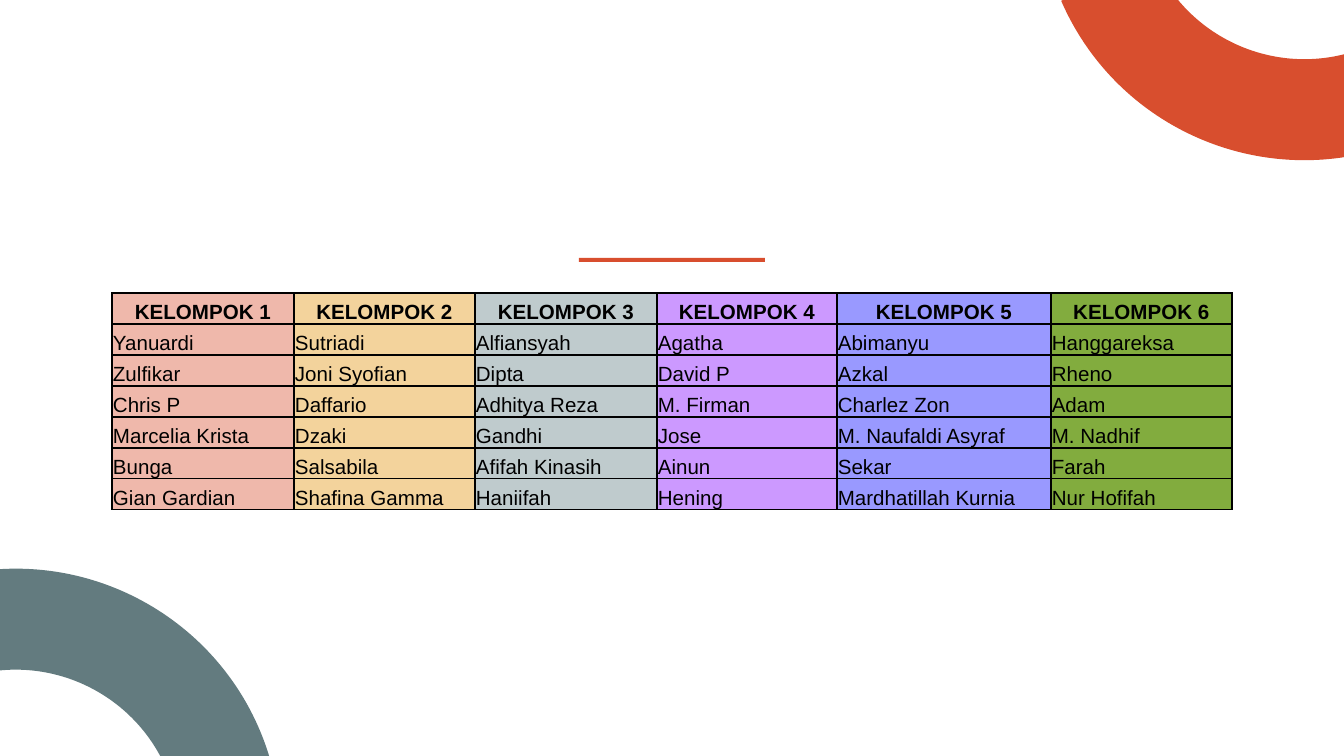
"""Build the slide that lists the members of six groups in a coloured table."""
from dataclasses import dataclass

from lxml import etree
from pptx import Presentation
from pptx import util as u
from pptx.dml.color import RGBColor
from pptx.enum import shapes, text
from pptx.oxml import ns

EMU_PER_PX = 9144000 / 1344
QUARTER_ARC = 0.5523


@dataclass(frozen=True)
class Theme:
    orange: str = "D84E2E"
    teal: str = "637B7F"
    ink: str = "000000"
    font: str = "Arial"
    size: int = 11
    border: int = 1


@dataclass(frozen=True)
class Ring:
    left: int
    top: int
    rotation: float
    color: str
    outer: int = 265
    inner: int = 164


@dataclass(frozen=True)
class Group:
    width: int
    color: str
    members: tuple[str, ...]


THEME = Theme()
RINGS = (
    Ring(1103, -63, 156.5, THEME.orange),
    Ring(-23, 539, 345, THEME.teal),
)
GROUPS = (
    Group(182, "EFB8AB", ("Yanuardi", "Zulfikar", "Chris P", "Marcelia Krista",
                          "Bunga", "Gian Gardian")),
    Group(181, "F3D39C", ("Sutriadi", "Joni Syofian", "Daffario", "Dzaki",
                          "Salsabila", "Shafina Gamma")),
    Group(182, "BFCBCD", ("Alfiansyah", "Dipta", "Adhitya Reza", "Gandhi",
                          "Afifah Kinasih", "Haniifah")),
    Group(180, "CC99FF", ("Agatha", "David P", "M. Firman", "Jose",
                          "Ainun", "Hening")),
    Group(214, "9999FF", ("Abimanyu", "Azkal", "Charlez Zon", "M. Naufaldi Asyraf",
                          "Sekar", "Mardhatillah Kurnia")),
    Group(181, "82AC3E", ("Hanggareksa", "Rheno", "Adam", "M. Nadhif",
                          "Farah", "Nur Hofifah")),
)
ROW_HEIGHT = 31


def px(n: float) -> u.Emu:
    return u.Emu(round(n * EMU_PER_PX))


def rgb(color: str) -> RGBColor:
    return RGBColor.from_string(color)


def paint(sp, color: str) -> None:
    sp.shadow.inherit = False
    sp.fill.solid()
    sp.fill.fore_color.rgb = rgb(color)
    sp.line.fill.background()


def arc(ring: Ring, radius: int) -> list[tuple[int, int]]:
    bottom = ring.top + ring.outer
    handle = radius * QUARTER_ARC
    offsets = ((0, radius), (handle, radius), (radius, handle), (radius, 0))
    return [(px(ring.left + x), px(bottom - y)) for x, y in offsets]


def bend(lines: list) -> None:
    curve = etree.Element(ns.qn("a:cubicBezTo"))
    lines[0].addprevious(curve)
    for line in lines:
        curve.append(line[0])
        line.getparent().remove(line)


def draw_ring(s, ring: Ring) -> None:
    points = arc(ring, ring.outer) + arc(ring, ring.inner)[::-1]
    builder = s.shapes.build_freeform(*points[0], scale=1.0)
    builder.add_line_segments(points[1:], close=True)
    sp = builder.convert_to_shape()
    lines = list(sp._element.iter(ns.qn("a:lnTo")))
    bend(lines[:3])
    bend(lines[4:7])
    sp.rotation = ring.rotation
    paint(sp, ring.color)


def draw_rule(s, left: int, top: int, width: int, height: int) -> None:
    sp = s.shapes.add_shape(shapes.MSO_SHAPE.RECTANGLE, px(left), px(top), px(width), px(height))
    paint(sp, THEME.orange)


def set_borders(cell) -> None:
    props = cell._tc.get_or_add_tcPr()
    for side in ("a:lnL", "a:lnR", "a:lnT", "a:lnB"):
        line = etree.SubElement(props, ns.qn(side), w=str(u.Pt(THEME.border)))
        fill = etree.SubElement(line, ns.qn("a:solidFill"))
        etree.SubElement(fill, ns.qn("a:srgbClr"), val=THEME.ink)


def fill_cell(cell, words: str, color: str, header: bool) -> None:
    set_borders(cell)
    cell.fill.solid()
    cell.fill.fore_color.rgb = rgb(color)
    cell.vertical_anchor = text.MSO_ANCHOR.BOTTOM
    cell.margin_left = cell.margin_right = cell.margin_top = px(1)
    cell.margin_bottom = 0
    p = cell.text_frame.paragraphs[0]
    p.text = words
    p.alignment = text.PP_ALIGN.CENTER if header else text.PP_ALIGN.LEFT
    p.font.name, p.font.size, p.font.bold = THEME.font, u.Pt(THEME.size), header
    p.font.color.rgb = rgb(THEME.ink)


def draw_groups(s, left: int, top: int, groups: tuple[Group, ...]) -> None:
    rows = 1 + len(groups[0].members)
    width = sum(group.width for group in groups)
    table = s.shapes.add_table(rows, len(groups), px(left), px(top),
                               px(width), px(rows * ROW_HEIGHT)).table
    table.first_row = table.horz_banding = False
    for row in table.rows:
        row.height = px(ROW_HEIGHT)
    for col, group in enumerate(groups):
        table.columns[col].width = px(group.width)
        for row, words in enumerate((f"KELOMPOK {col + 1}", *group.members)):
            fill_cell(table.cell(row, col), words, group.color, row == 0)


def main() -> None:
    prs = Presentation()
    prs.slide_width, prs.slide_height = px(1344), px(756)
    s = prs.slides.add_slide(prs.slide_layouts[6])
    for ring in RINGS:
        draw_ring(s, ring)
    draw_rule(s, 579, 258, 186, 4)
    draw_groups(s, 112, 293, GROUPS)
    prs.save("out.pptx")


if __name__ == "__main__":
    main()
